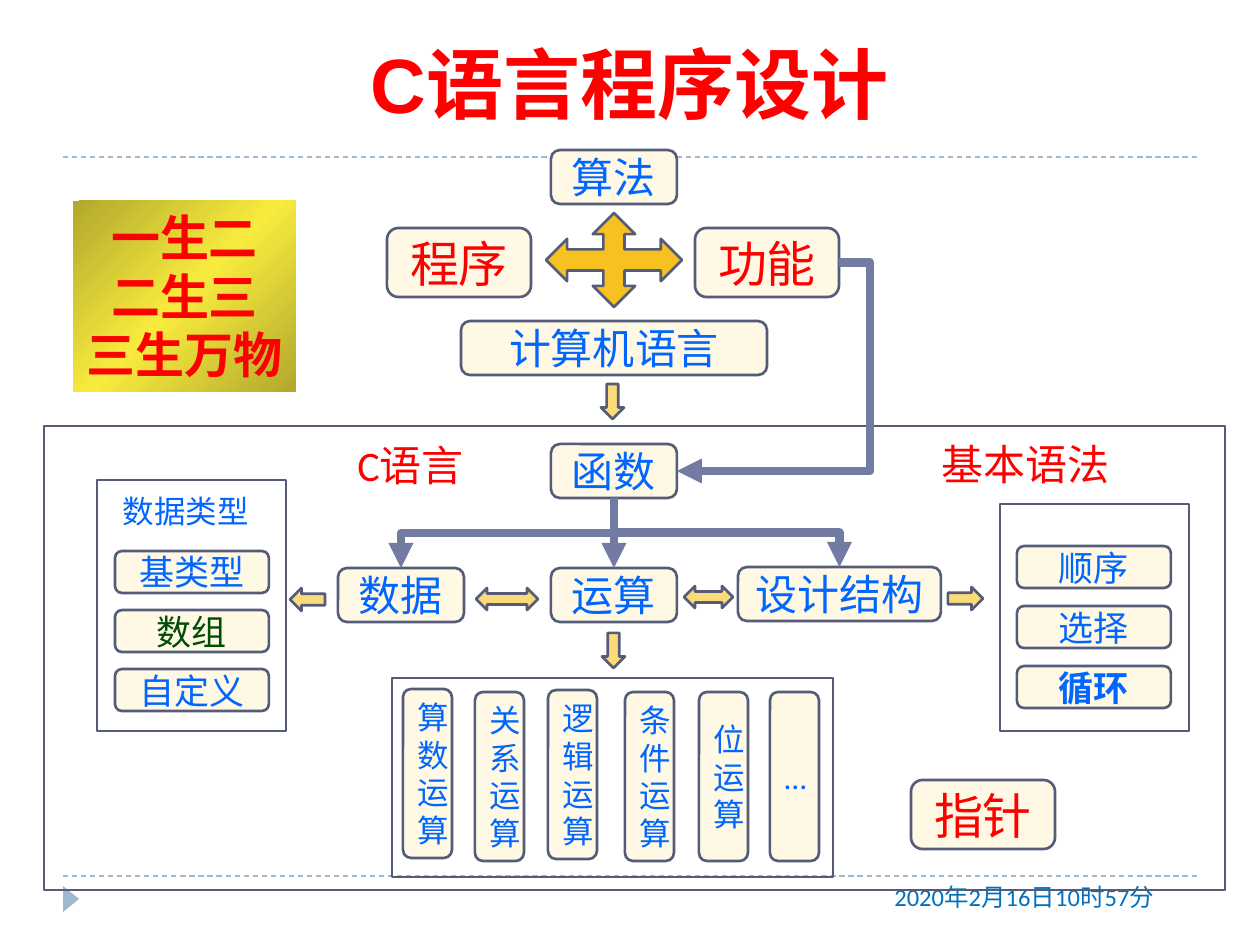
import copy
import pptx
import pptx.util
import pptx.dml.color
import pptx.enum.dml
import pptx.enum.shapes
import pptx.enum.text
import pptx.oxml
import pptx.oxml.ns

SHAPE = pptx.enum.shapes.MSO_SHAPE
CONNECTOR = pptx.enum.shapes.MSO_CONNECTOR
ALIGN = pptx.enum.text.PP_ALIGN
ANCHOR = pptx.enum.text.MSO_ANCHOR
qn = pptx.oxml.ns.qn

THEME = {
    "font": "Calibri", "display": "Arial",
    "title": 44, "large": 28, "medium": 24, "small": 20, "tiny": 18, "date": 14,
    "bright": "FF0000", "red": "FE0000", "blue": "0066FF", "green": "004D05",
    "date blue": "0070C0", "cream": "FEF8E4", "outline": "545C79",
    "flow": "727CA3", "rule": "9FB8CD", "gold": "F7C120", "pale gold": "FADA7A",
    "gradient": ("B1A82C", "F8EB3E", "B1A82C"),
    "outline width": 1.5, "flow width": 4.75, "rule width": 0.75,
}

TITLE = ("C语言程序设计", (63, -1, 1134, 136))
RULES_Y = (157, 876)
MOTTO = (("一生二", "二生三", "三生万物"), (73, 201, 223, 191))
LABELS = [
    ("2020年2月16日10时57分", (882, 876, 315, 50), "date", "date blue", True),
    ("基本语法", (929, 432, 207, 64), "medium", "red", True),
    ("C语言", (345, 433, 169, 64), "medium", "red", True),
    ("数据类型", (110, 486, 152, 50), "tiny", "blue", False),
]
LARGE_NODES = [("程序", 387, 228), ("功能", 695, 228), ("指针", 911, 780)]
MEDIUM_NODES = [
    ("算法", 551, 150, 126), ("计算机语言", 461, 321, 306), ("函数", 551, 444, 126),
    ("数据", 338, 568, 126), ("运算", 551, 568, 126), ("设计结构", 738, 567, 203),
]
SMALL_STACKS = [
    (("基类型", "数组", "自定义"), 115, 551, 59),
    (("顺序", "选择", "循环"), 1017, 546, 60),
]
OPERATORS = [
    ("算数运算", 403, 689), ("关系运算", 475, 692), ("逻辑运算", 548, 690),
    ("条件运算", 625, 692), ("位运算", 699, 692), ("…", 770, 692),
]
FRAMES = [(1000, 504, 189, 227), (97, 480, 189, 251),
          (392, 678, 441, 199), (44, 426, 1181, 464)]
ARROWS = [
    (SHAPE.QUAD_ARROW, (546, 213, 136, 94), "gold"),
    (SHAPE.LEFT_ARROW, (290, 588, 35, 23), "pale gold"),
    (SHAPE.RIGHT_ARROW, (948, 587, 35, 23), "pale gold"),
    (SHAPE.DOWN_ARROW, (602, 633, 23, 35), "pale gold"),
    (SHAPE.DOWN_ARROW, (601, 384, 23, 35), "pale gold"),
    (SHAPE.LEFT_RIGHT_ARROW, (476, 588, 62, 22), "pale gold"),
    (SHAPE.LEFT_RIGHT_ARROW, (684, 586, 49, 22), "pale gold"),
]


def px(value):
    return round(value * 914400 / 126)


def color(name):
    return pptx.dml.color.RGBColor.from_string(THEME.get(name, name))


def style_text(frame, lines, size, tint, align=ALIGN.CENTER, font="font", bold=False):
    frame.text = "\n".join(lines)
    for paragraph in frame.paragraphs:
        paragraph.alignment = align
        paragraph.font.size = pptx.util.Pt(THEME[size])
        paragraph.font.name = THEME[font]
        paragraph.font.bold = bold
        paragraph.font.color.rgb = color(tint)


def add_shape(kind, box, fill=None, outline="outline"):
    shape = slide.shapes.add_shape(kind, *map(px, box))
    shape.shadow.inherit = False
    if fill:
        shape.fill.solid()
        shape.fill.fore_color.rgb = color(fill)
    else:
        shape.fill.background()
    if outline:
        shape.line.color.rgb = color(outline)
        shape.line.width = pptx.util.Pt(THEME["outline width"])
    else:
        shape.line.fill.background()
    return shape


def add_node(text, box, size, tint, bold=False):
    node = add_shape(SHAPE.ROUNDED_RECTANGLE, box, "cream")
    node.text_frame.vertical_anchor = ANCHOR.MIDDLE
    node.text_frame.word_wrap = True
    style_text(node.text_frame, [text], size, tint, bold=bold)
    nodes[text] = node


def add_line(kind, ends, tint, width):
    line = slide.shapes.add_connector(kind, *ends)
    line.line.color.rgb = color(tint)
    line.line.width = pptx.util.Pt(THEME[width])
    pptx.oxml.ns.nsdecls("a")
    line.element.spPr.append(
        pptx.oxml.parse_xml(f"<a:effectLst {pptx.oxml.ns.nsdecls('a')}/>"))
    return line


def add_flow(source, source_side, target, target_side, kind=CONNECTOR.ELBOW):
    line = add_line(kind, (0, 0, 0, 0), "flow", "flow width")
    line.begin_connect(nodes[source], source_side)
    line.end_connect(nodes[target], target_side)
    head = line.line._get_or_add_ln().makeelement(qn("a:tailEnd"), {"type": "triangle"})
    line.line._get_or_add_ln().append(head)
    return line


def turn_downward(line):
    leftward = line.end_x < line.begin_x
    left, top, width, height = line.left, line.top, line.width, line.height
    line.left = left + (width - height) // 2
    line.top = top + (height - width) // 2
    line.width, line.height = height, width
    transform = line.element.spPr.find(qn("a:xfrm"))
    transform.set("rot", "5400000" if leftward else "16200000")
    transform.set("flipH", "0" if leftward else "1")


presentation = pptx.Presentation()
presentation.slide_width, presentation.slide_height = px(1260), px(945)
slide = presentation.slides.add_slide(presentation.slide_layouts[5])
nodes = {}

for y in RULES_Y:
    rule = add_line(CONNECTOR.STRAIGHT, map(px, (63, y, 1197, y)), "rule", "rule width")
    rule.line.dash_style = pptx.enum.dml.MSO_LINE.DASH
marker = add_shape(SHAPE.ISOSCELES_TRIANGLE, (58, 891, 26, 16), "rule", None)
marker.rotation = 90

title = slide.shapes.title
title.left, title.top, title.width, title.height = map(px, TITLE[1])
title.text_frame.auto_size = pptx.enum.text.MSO_AUTO_SIZE.NONE
title.text_frame.vertical_anchor = ANCHOR.BOTTOM
style_text(title.text_frame, [TITLE[0]], "title", "bright", font="display", bold=True)

for text, box, size, tint, wrap in LABELS:
    label = slide.shapes.add_textbox(*map(px, box))
    label.text_frame.word_wrap = wrap
    style_text(label.text_frame, [text], size, tint, ALIGN.LEFT if wrap else ALIGN.CENTER)

for box in FRAMES:
    add_shape(SHAPE.RECTANGLE, box)
for text, x, y in LARGE_NODES:
    add_node(text, (x, y, 144, 69), "large", "red")
for text, x, y, width in MEDIUM_NODES:
    add_node(text, (x, y, width, 54), "medium", "blue")
for texts, x, top, step in SMALL_STACKS:
    for row, text in enumerate(texts):
        add_node(text, (x, top + row * step, 154, 42), "small",
                 "green" if text == "数组" else "blue", text == "循环")
for text, x, y in OPERATORS:
    add_node(text, (x, y, 49, 169), "tiny", "blue")
for kind, box, fill in ARROWS:
    add_shape(kind, box, fill)

for target in ("数据", "设计结构"):
    turn_downward(add_flow("函数", 2, target, 0))
add_flow("函数", 2, "运算", 0, CONNECTOR.STRAIGHT)
feedback = add_flow("功能", 3, "函数", 3)
guides = feedback.element.spPr.find(qn("a:prstGeom")).get_or_add_avLst()
guides.append(guides.makeelement(qn("a:gd"), {"name": "adj1", "fmla": "val -19400"}))

motto = add_shape(SHAPE.RECTANGLE, MOTTO[1], "gold", None)
motto.fill.gradient()
motto.fill.gradient_angle = 315
stop_list = motto.element.spPr.find(qn("a:gradFill")).find(qn("a:gsLst"))
stop_list.insert(1, copy.deepcopy(stop_list[0]))
for stop, position, tint in zip(motto.fill.gradient_stops, (0, 0.5, 1), THEME["gradient"]):
    stop.position = position
    stop.color.rgb = color(tint)
motto.text_frame.word_wrap = False
motto.text_frame.vertical_anchor = ANCHOR.TOP
style_text(motto.text_frame, MOTTO[0], "large", "bright", font="display", bold=True)

presentation.save("out.pptx")
